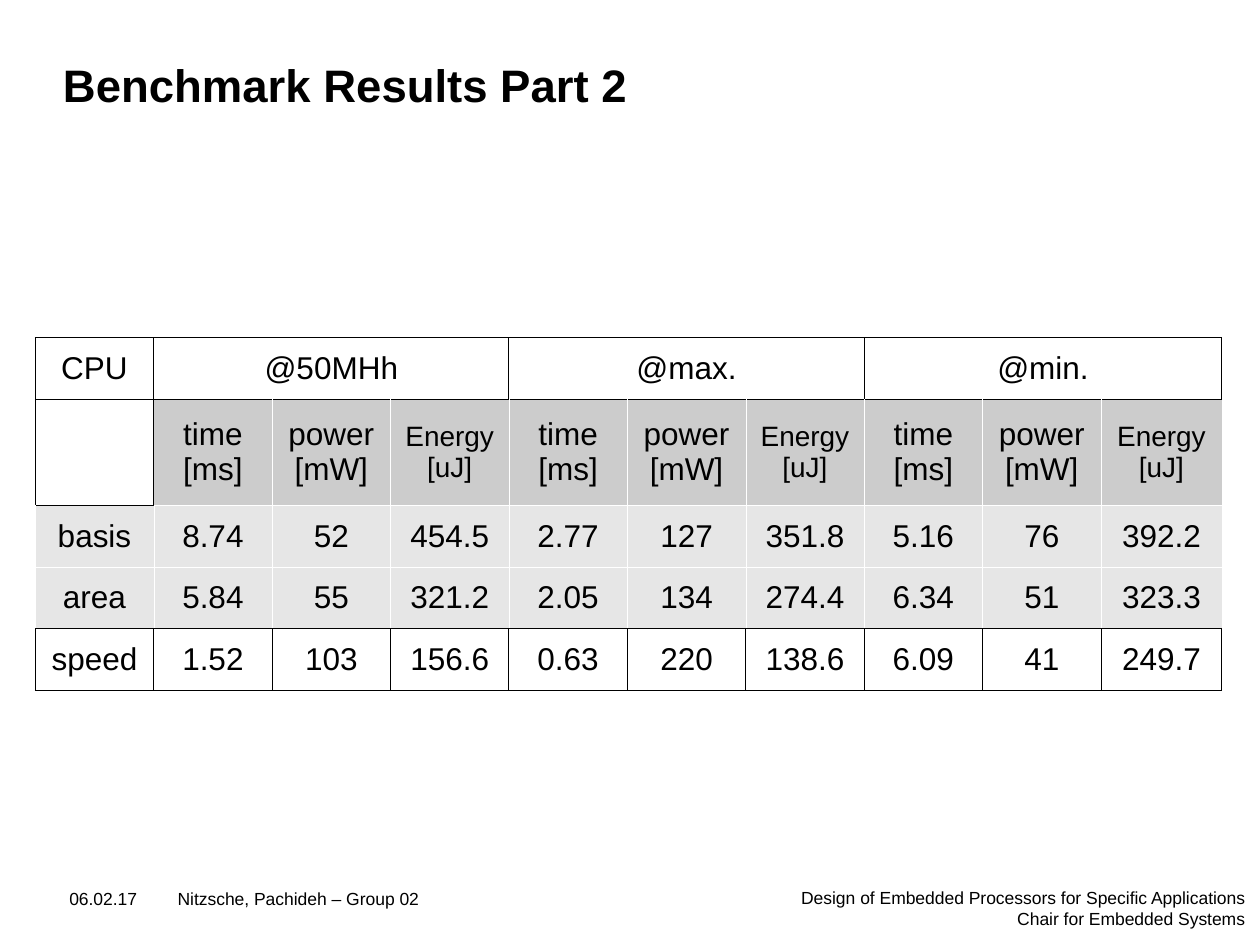
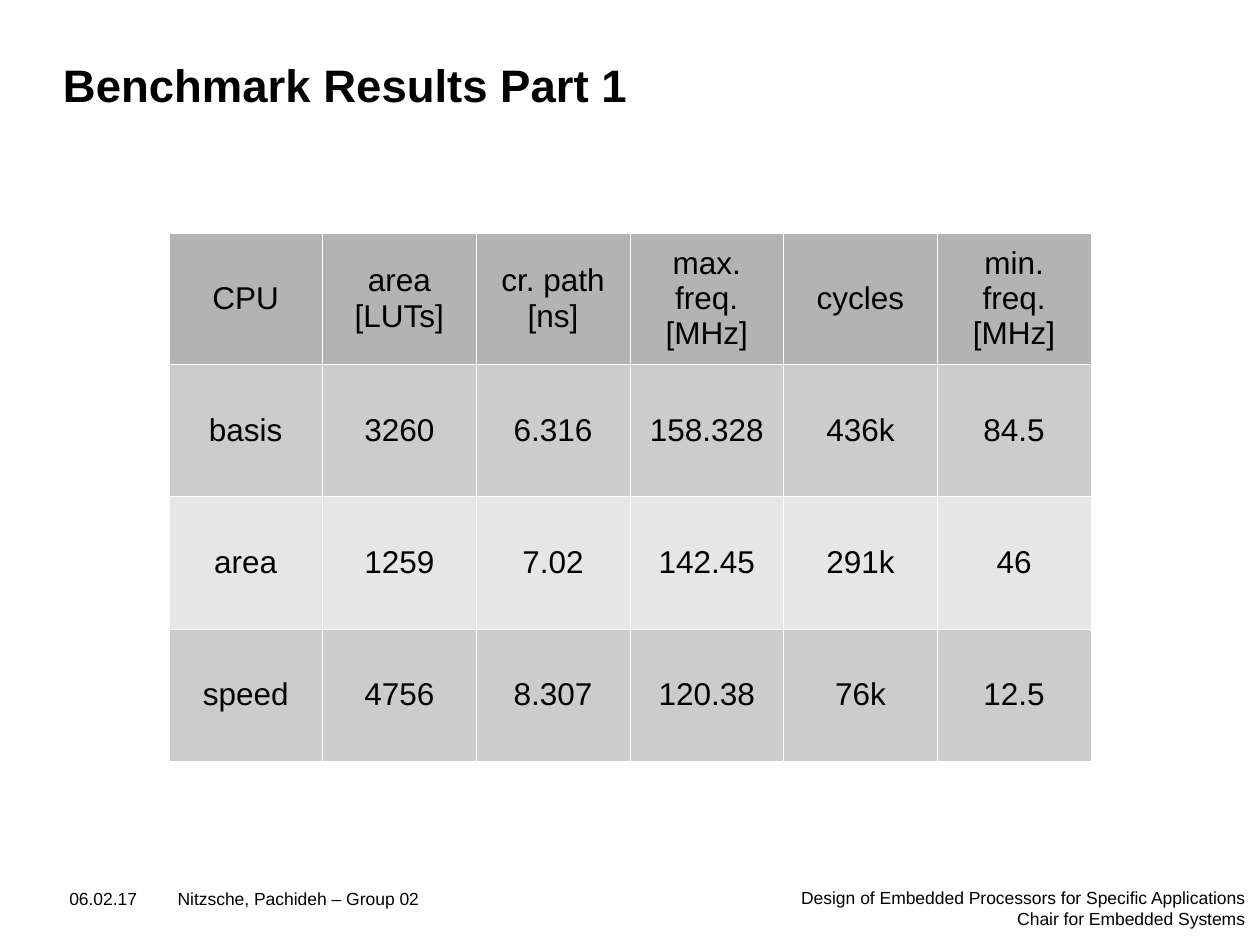
from lxml import etree
from pptx import Presentation
from pptx.dml.color import RGBColor
from pptx.enum.text import MSO_ANCHOR, PP_ALIGN
from pptx.oxml.ns import qn
from pptx.util import Inches, Pt

LEFT, CENTER, RIGHT = PP_ALIGN.LEFT, PP_ALIGN.CENTER, PP_ALIGN.RIGHT
TOP, MIDDLE = MSO_ANCHOR.TOP, MSO_ANCHOR.MIDDLE

FONT = "Arial"
BLACK = RGBColor(0x00, 0x00, 0x00)
WHITE = RGBColor(0xFF, 0xFF, 0xFF)
DARK_GREY = RGBColor(0xB3, 0xB3, 0xB3)
MID_GREY = RGBColor(0xCC, 0xCC, 0xCC)
LIGHT_GREY = RGBColor(0xE6, 0xE6, 0xE6)

# Footers: lines, (left, top, width, height), alignment
FOOTERS = [
    (["Design of Embedded Processors for Specific Applications",
      "Chair for Embedded Systems"], (6.22, 7.04, 3.66, 0.39), RIGHT),
    (["06.02.17"], (0.55, 7.05, 0.8, 0.39), LEFT),
    (["Nitzsche, Pachideh – Group 02"], (1.41, 7.05, 4.97, 0.39), LEFT),
]
TITLE_BOX = (0.5, 0.24, 9, 0.86)

# Table rows: fill (None for an outlined row), cell texts
CLOCKS = ["@50MHh", "@max.", "@min."]
MEASURES = ["time\n[ms]", "power\n[mW]", "Energy\n[uJ]"]
SPAN = len(MEASURES)
CLOCK_HEADER = ["CPU"]
for clock in CLOCKS:
    CLOCK_HEADER += [clock] + [""] * (SPAN - 1)

SLIDES = [
    {
        "title": "Benchmark Results Part 2",
        "corner": (0.28, 2.68),
        "widths": [0.94] * 9 + [0.96],
        "heights": [0.49, 0.84, 0.49, 0.49, 0.49],
        "merges": [(0, 1 + SPAN * i, SPAN) for i in range(len(CLOCKS))],
        "rows": [
            (None, CLOCK_HEADER),
            (MID_GREY, [""] + MEASURES * len(CLOCKS)),
            (LIGHT_GREY, ["basis", "8.74", "52", "454.5", "2.77", "127",
                          "351.8", "5.16", "76", "392.2"]),
            (LIGHT_GREY, ["area", "5.84", "55", "321.2", "2.05", "134",
                          "274.4", "6.34", "51", "323.3"]),
            (None, ["speed", "1.52", "103", "156.6", "0.63", "220",
                    "138.6", "6.09", "41", "249.7"]),
        ],
    },
    {
        "title": "Benchmark Results Part 1",
        "corner": (1.34, 1.85),
        "widths": [1.22] * 6,
        "heights": [1.04] + [1.05] * 3,
        "merges": [],
        "rows": [
            (DARK_GREY, ["CPU", "area\n[LUTs]", "cr. path\n[ns]",
                         "max. freq.\n[MHz]", "cycles", "min. freq.\n[MHz]"]),
            (MID_GREY, ["basis", "3260", "6.316", "158.328", "436k", "84.5"]),
            (LIGHT_GREY, ["area", "1259", "7.02", "142.45", "291k", "46"]),
            (MID_GREY, ["speed", "4756", "8.307", "120.38", "76k", "12.5"]),
        ],
    },
]


def write_lines(frame, lines, size, align, bold=False):
    for i, line in enumerate(lines):
        paragraph = frame.paragraphs[0] if i == 0 else frame.add_paragraph()
        paragraph.alignment = align
        run = paragraph.add_run()
        run.text = line
        run.font.name = FONT
        run.font.size = Pt(size)
        run.font.bold = bold
        run.font.color.rgb = BLACK


def add_text(slide, lines, box, size, align=LEFT, anchor=TOP, bold=False):
    frame = slide.shapes.add_textbox(*map(Inches, box)).text_frame
    frame.word_wrap = True
    frame.vertical_anchor = anchor
    frame.margin_left = frame.margin_right = 0
    frame.margin_top = frame.margin_bottom = 0
    write_lines(frame, lines, size, align, bold)


def set_borders(cell, color, width):
    properties = cell._tc.get_or_add_tcPr()
    for i, side in enumerate(("a:lnL", "a:lnR", "a:lnT", "a:lnB")):
        line = etree.Element(qn(side), w=str(Pt(width)))
        fill = etree.SubElement(line, qn("a:solidFill"))
        etree.SubElement(fill, qn("a:srgbClr"), val=str(color))
        properties.insert(i, line)


def fill_cell(cell, text, color):
    cell.vertical_anchor = MIDDLE
    if color is None:
        cell.fill.background()
        set_borders(cell, BLACK, 0.57)
    else:
        cell.fill.solid()
        cell.fill.fore_color.rgb = color
        set_borders(cell, WHITE, 0.06)
    if text:
        size = 16 if text.startswith("Energy") else 18
        write_lines(cell.text_frame, text.split("\n"), size, CENTER)


def add_results(slide, content):
    widths, heights = content["widths"], content["heights"]
    box = (*content["corner"], sum(widths), sum(heights))
    table = slide.shapes.add_table(len(heights), len(widths),
                                   *map(Inches, box)).table
    table.first_row = table.horz_banding = False
    for column, width in zip(table.columns, widths):
        column.width = Inches(width)
    for row, height in zip(table.rows, heights):
        row.height = Inches(height)
    for r, (row_fill, texts) in enumerate(content["rows"]):
        for c, text in enumerate(texts):
            # An empty corner cell is outlined, not filled
            fill_cell(table.cell(r, c), text, row_fill if text else None)
    for r, c, span in content["merges"]:
        table.cell(r, c).merge(table.cell(r, c + span - 1))


def main():
    deck = Presentation()
    deck.slide_width, deck.slide_height = Inches(10), Inches(7.5)
    blank = deck.slide_layouts[6]
    for content in SLIDES:
        slide = deck.slides.add_slide(blank)
        for lines, box, align in FOOTERS:
            add_text(slide, lines, box, 10, align)
        add_text(slide, [content["title"]], TITLE_BOX, 26,
                 anchor=MIDDLE, bold=True)
        add_results(slide, content)
    deck.save("out.pptx")


if __name__ == "__main__":
    main()
